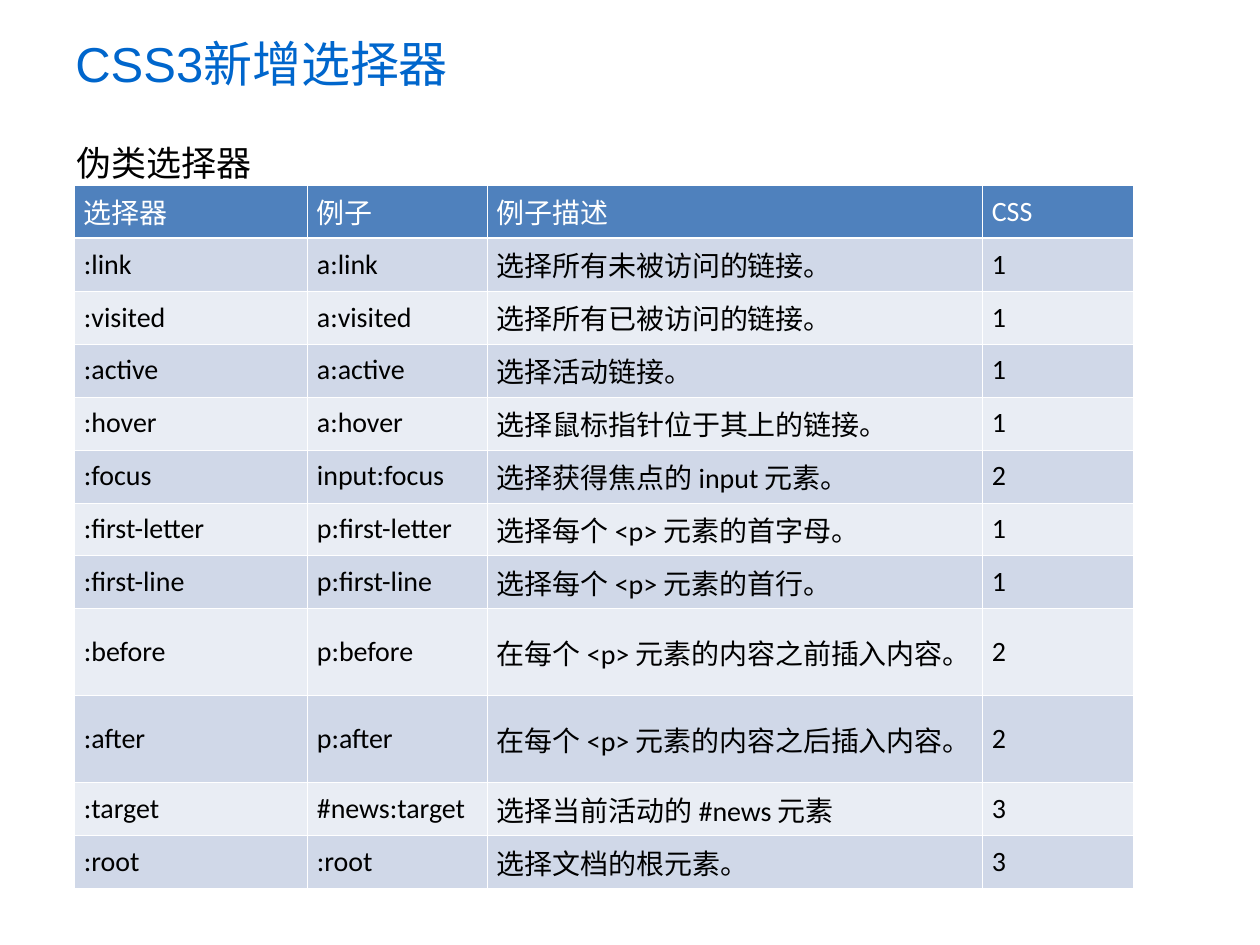
"""Build a slide listing the CSS pseudo-class selectors in a table."""
import pptx
import pptx.dml.color
import pptx.enum.text
import pptx.oxml
import pptx.oxml.ns
import pptx.util

PX = 914400 / 126
BLUE = pptx.dml.color.RGBColor(0x00, 0x66, 0xCC)
BLACK = pptx.dml.color.RGBColor(0x00, 0x00, 0x00)
WHITE = pptx.dml.color.RGBColor(0xFF, 0xFF, 0xFF)
HEADER = pptx.dml.color.RGBColor(0x4F, 0x81, 0xBD)
BAND_DARK = pptx.dml.color.RGBColor(0xD0, 0xD8, 0xE8)
BAND_LIGHT = pptx.dml.color.RGBColor(0xE9, 0xED, 0xF4)

COL_WIDTHS = [233, 180, 495, 151]
ROW_HEIGHT, TALL_ROW_HEIGHT = 53, 87
TALL_ROWS = (8, 9)
THIN, THICK = 0.45, 1.47
ROWS = [
    ("选择器", "例子", "例子描述", "CSS"),
    (":link", "a:link", "选择所有未被访问的链接。", "1"),
    (":visited", "a:visited", "选择所有已被访问的链接。", "1"),
    (":active", "a:active", "选择活动链接。", "1"),
    (":hover", "a:hover", "选择鼠标指针位于其上的链接。", "1"),
    (":focus", "input:focus", "选择获得焦点的 input 元素。", "2"),
    (":first-letter", "p:first-letter", "选择每个 <p> 元素的首字母。", "1"),
    (":first-line", "p:first-line", "选择每个 <p> 元素的首行。", "1"),
    (":before", "p:before", "在每个 <p> 元素的内容之前插入内容。", "2"),
    (":after", "p:after", "在每个 <p> 元素的内容之后插入内容。", "2"),
    (":target", "#news:target", "选择当前活动的 #news 元素", "3"),
    (":root", ":root", "选择文档的根元素。", "3"),
]


def px(n):
    """Turn pixels into EMU."""
    return pptx.util.Emu(round(n * PX))


def write(tf, text, size=16, font="Calibri", color=BLACK):
    """Write one formatted run into a text frame."""
    r = tf.paragraphs[0].add_run()
    r.text = text
    r.font.size = pptx.util.Pt(size)
    r.font.name = font
    r.font.color.rgb = color


def add_heading(slide, box, text, anchor, **fmt):
    """Place a line of heading text in the given box."""
    tf = slide.shapes.add_textbox(*map(px, box)).text_frame
    tf.word_wrap = True
    tf.vertical_anchor = anchor
    write(tf, text, **fmt)


def add_border(cell, side, width):
    """Draw one white border of a cell."""
    ns = pptx.oxml.ns.nsdecls("a")
    cell._tc.get_or_add_tcPr().append(pptx.oxml.parse_xml(
        f'<a:ln{side} {ns} w="{pptx.util.Pt(width)}"><a:solidFill>'
        f'<a:srgbClr val="{WHITE}"/></a:solidFill></a:ln{side}>'))


def fill_cell(cell, row, text):
    """Format a cell according to its row and write its text."""
    add_border(cell, "L", THIN)
    add_border(cell, "R", THIN)
    add_border(cell, "T", THICK if row == 1 else THIN)
    add_border(cell, "B", THICK if row == 0 else THIN)
    cell.fill.solid()
    band = BAND_DARK if row % 2 else BAND_LIGHT
    cell.fill.fore_color.rgb = band if row else HEADER
    cell.vertical_anchor = pptx.enum.text.MSO_ANCHOR.MIDDLE
    cell.margin_left = px(10)
    write(cell.text_frame, text, color=BLACK if row else WHITE)


def add_selector_table(slide, left, top):
    """Place the selector table with its top left corner at the given point."""
    heights = [TALL_ROW_HEIGHT if i in TALL_ROWS else ROW_HEIGHT
               for i in range(len(ROWS))]
    box = (left, top, sum(COL_WIDTHS), sum(heights))
    table = slide.shapes.add_table(
        len(ROWS), len(COL_WIDTHS), *map(px, box)).table
    for column, width in zip(table.columns, COL_WIDTHS):
        column.width = px(width)
    for i, texts in enumerate(ROWS):
        table.rows[i].height = px(heights[i])
        for j, text in enumerate(texts):
            fill_cell(table.cell(i, j), i, text)


def main():
    """Build and save the presentation."""
    prs = pptx.Presentation()
    prs.slide_width, prs.slide_height = px(1260), px(945)
    slide = prs.slides.add_slide(prs.slide_layouts[6])
    anchors = pptx.enum.text.MSO_ANCHOR
    add_heading(slide, (63, 0, 964, 126), "CSS3新增选择器", anchors.MIDDLE,
                size=28, font="Arial", color=BLUE)
    add_heading(slide, (64, 135, 307, 55), "伪类选择器", anchors.TOP,
                size=20, font="Arial")
    add_selector_table(slide, 74, 185)
    prs.save("out.pptx")


if __name__ == "__main__":
    main()
